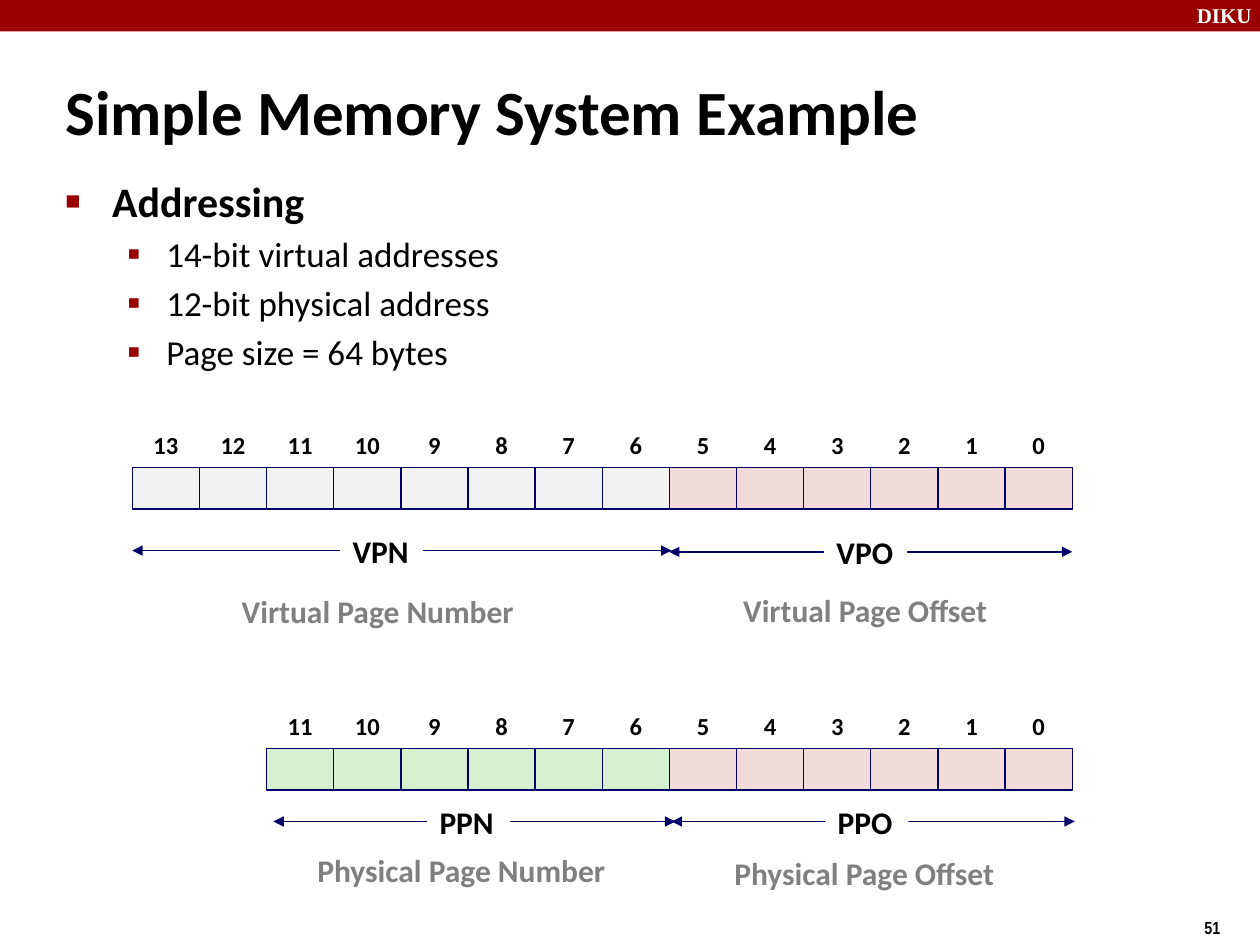
from lxml import etree
from pptx import Presentation
from pptx.dml.color import RGBColor
from pptx.enum import shapes, text
from pptx.oxml import ns
from pptx.util import Inches, Pt

RED = RGBColor(0x99, 0x00, 0x00)
NAVY = RGBColor(0x00, 0x00, 0x66)
BLACK = RGBColor(0x00, 0x00, 0x00)
WHITE = RGBColor(0xFF, 0xFF, 0xFF)
GRAY = RGBColor(0x80, 0x80, 0x80)
PALE = RGBColor(0xF2, 0xF2, 0xF2)
PINK = RGBColor(0xF2, 0xDC, 0xDB)
GREEN = RGBColor(0xD5, 0xF1, 0xCF)

RIGHT = 8.51
CELL = 7.46 / 14
TALL = 0.33
LEFT = text.PP_ALIGN.LEFT
MID = text.PP_ALIGN.CENTER


def inch(*vals):
    return [Inches(val) for val in vals]


def place(shape, box):
    shape.left, shape.top, shape.width, shape.height = inch(*box)


def write(para, words, size=18, font="Calibri", color=BLACK, bold=True,
          align=LEFT, gap=0, space=1.0):
    para.text = words
    para.alignment = align
    para.space_before = Pt(gap)
    para.line_spacing = space
    para.font.size = Pt(size)
    para.font.name = font
    para.font.color.rgb = color
    para.font.bold = bold


def label(slide, words, box, wrap=False, middle=False, fill=None, **style):
    shape = slide.shapes.add_textbox(*inch(*box))
    if fill is not None:
        shape.fill.solid()
        shape.fill.fore_color.rgb = fill
    frame = shape.text_frame
    frame.word_wrap = wrap
    if middle:
        frame.vertical_anchor = text.MSO_ANCHOR.MIDDLE
    write(frame.paragraphs[0], words, **style)


def block(slide, box, fill, line=None):
    shape = slide.shapes.add_shape(shapes.MSO_SHAPE.RECTANGLE, *inch(*box))
    shape.shadow.inherit = False
    shape.fill.solid()
    shape.fill.fore_color.rgb = fill
    if line is None:
        shape.line.fill.background()
    else:
        shape.line.color.rgb = line
        shape.line.width = Pt(0.75)


def arrow(slide, start, end, y):
    line = slide.shapes.add_connector(
        shapes.MSO_CONNECTOR.STRAIGHT, *inch(start, y, end, y))
    line.line.color.rgb = NAVY
    line.line.width = Pt(0.75)
    for tag in ("a:headEnd", "a:tailEnd"):
        etree.SubElement(line.line._ln, ns.qn(tag), type="triangle")
    etree.SubElement(line._element.spPr, ns.qn("a:effectLst"))


def bullet(para, mark, scale, left, hang):
    props = para._p.get_or_add_pPr()
    props.set("marL", str(Inches(left)))
    props.set("indent", str(-Inches(hang)))
    color = etree.SubElement(props, ns.qn("a:buClr"))
    etree.SubElement(color, ns.qn("a:srgbClr"), val=str(RED))
    etree.SubElement(props, ns.qn("a:buSzPct"), val=str(scale * 1000))
    etree.SubElement(props, ns.qn("a:buFont"), typeface="Arial")
    etree.SubElement(props, ns.qn("a:buChar"), char=mark)


def head(slide, words):
    title = slide.shapes.title
    place(title, (0.42, 0.56, 7.99, 0.63))
    frame = title.text_frame
    frame.auto_size = text.MSO_AUTO_SIZE.NONE
    frame.vertical_anchor = text.MSO_ANCHOR.MIDDLE
    write(frame.paragraphs[0], words, size=36)


def points(slide, top, subs):
    body = slide.placeholders[1]
    place(body, (0.41, 1.34, 9.08, 1.73))
    frame = body.text_frame
    frame.auto_size = text.MSO_AUTO_SIZE.NONE
    first = frame.paragraphs[0]
    bullet(first, "■", 60, 0.38, 0.37)
    write(first, top, size=24)
    for words in subs:
        para = frame.add_paragraph()
        para.level = 1
        bullet(para, "▪", 110, 0.81, 0.31)
        write(para, words, size=20, bold=False, gap=4)


def bits(slide, count, y, fill):
    for bit in reversed(range(count)):
        x = RIGHT - (bit + 1) * CELL
        block(slide, (x, y, CELL, TALL), PINK if bit < 6 else fill, NAVY)
        label(slide, str(bit), (x, y - TALL, CELL, TALL), middle=True,
              size=14, align=MID, space=0.88)


def span(slide, name, start, end, y, x):
    arrow(slide, start, end, y)
    label(slide, name, (x, y - 0.16, 0.66, 0.4), fill=WHITE, space=0.88)


def main():
    deck = Presentation()
    deck.slide_width, deck.slide_height = inch(10, 7.5)
    slide = deck.slides.add_slide(deck.slide_layouts[1])

    block(slide, (0, 0, 10, 0.25), RED)
    label(slide, "DIKU", (9.4, -0.03, 0.67, 0.3), wrap=True,
          size=12, font="Times New Roman", color=WHITE)
    label(slide, "51", (9.46, 7.23, 0.75, 0.27),
          size=10, font="Arial Narrow")
    head(slide, "Simple Memory System Example")
    points(slide, "Addressing", ("14-bit virtual addresses",
                                 "12-bit physical address",
                                 "Page size = 64 bytes"))

    bits(slide, 14, 3.71, PALE)
    bits(slide, 12, 5.94, GREEN)

    for part in (("VPO", 5.31, 8.51, 4.38, 6.54),
                 ("PPO", 5.33, 8.53, 6.52, 6.55),
                 ("PPN", 2.17, 5.36, 6.52, 3.39),
                 ("VPN", 1.05, 5.33, 4.37, 2.7)):
        span(slide, *part)

    for words, x, y, wide in (("Virtual Page Number", 1.82, 4.69, 2.36),
                              ("Virtual Page Offset", 5.8, 4.68, 2.14),
                              ("Physical Page Number", 2.42, 6.74, 2.49),
                              ("Physical Page Offset", 5.73, 6.77, 2.26)):
        label(slide, words, (x, y, wide, 0.4), color=GRAY, space=0.88)

    deck.save("out.pptx")


if __name__ == "__main__":
    main()
